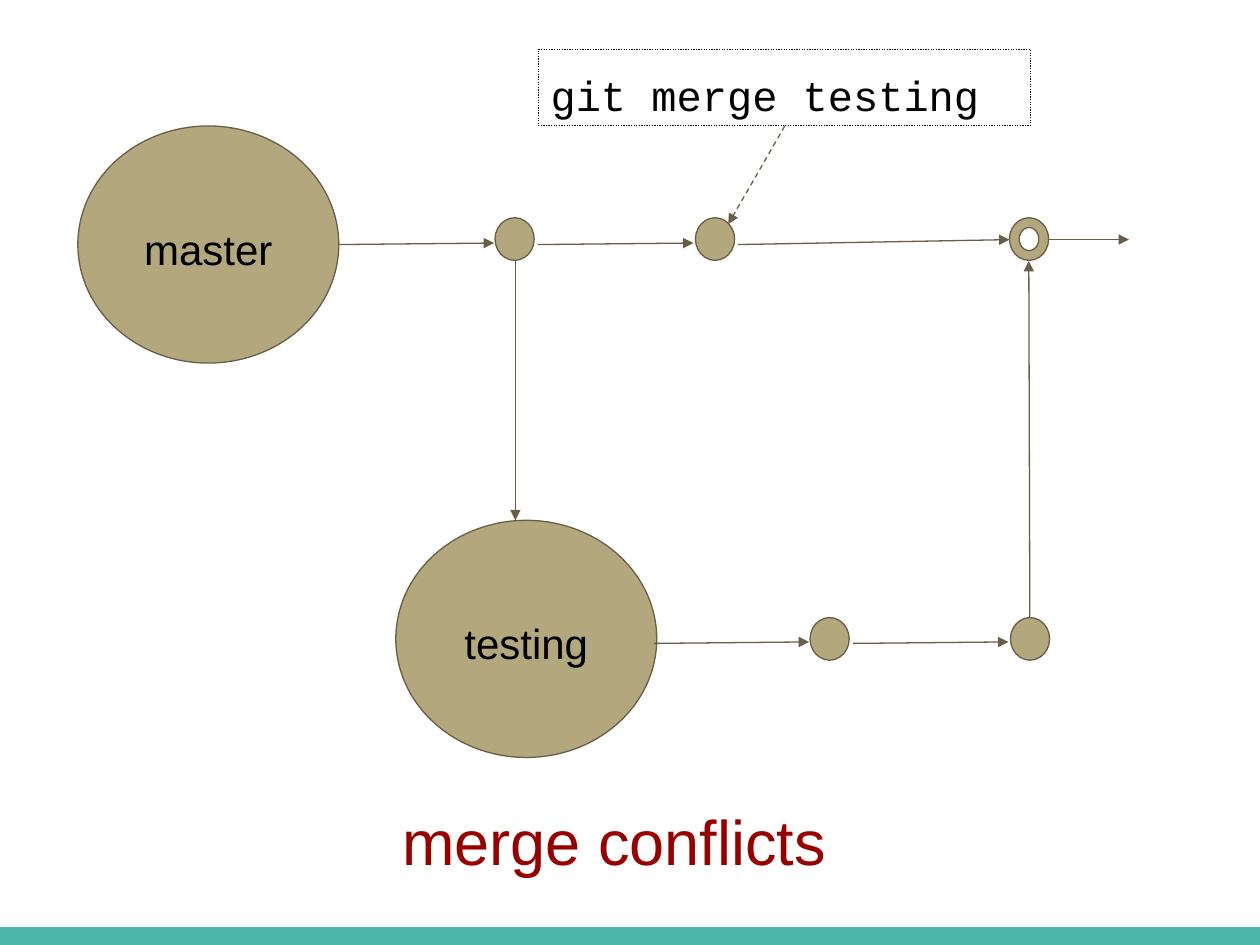
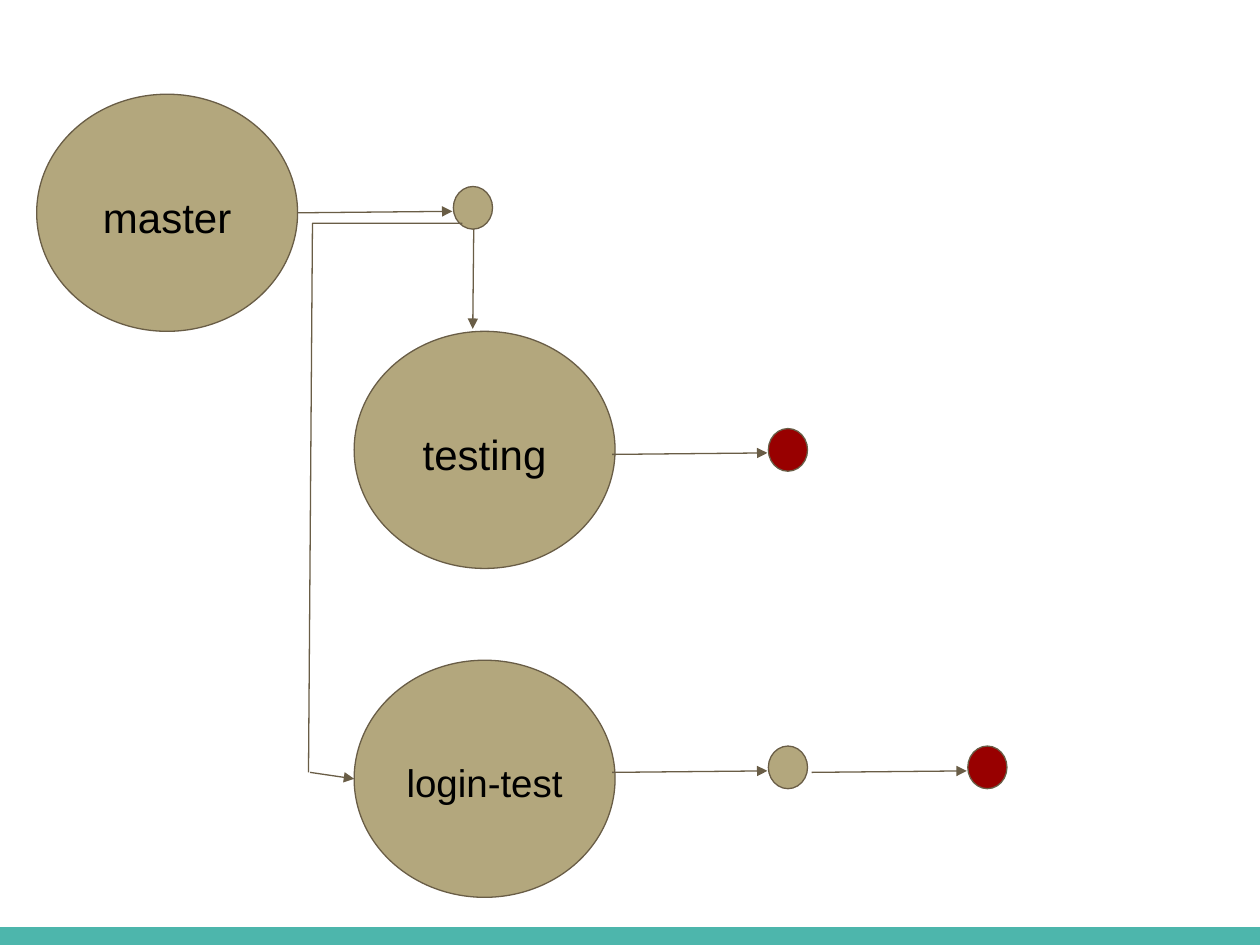
"""Two slides showing how git branches split and merge."""
from dataclasses import dataclass
from typing import NamedTuple, Optional

import pptx
import pptx.dml.color
import pptx.enum.dml
import pptx.enum.shapes
import pptx.enum.text
import pptx.oxml
import pptx.oxml.ns
import pptx.util

Cm = pptx.util.Cm
Pt = pptx.util.Pt
Color = pptx.dml.color.RGBColor
Preset = pptx.enum.shapes.MSO_SHAPE
Dash = pptx.enum.dml.MSO_LINE
Align = pptx.enum.text.PP_ALIGN
Anchor = pptx.enum.text.MSO_ANCHOR


# Theme: colours, fonts and sizes shared by both slides
@dataclass(frozen=True)
class Theme:
    sand: Color = Color(0xB3, 0xA7, 0x7D)
    brown: Color = Color(0x69, 0x5D, 0x46)
    red: Color = Color(0x98, 0x00, 0x00)
    teal: Color = Color(0x4D, 0xB6, 0xAC)
    black: Color = Color(0, 0, 0)
    sans: str = "Arial"
    mono: str = "Courier New"
    heading: Pt = Pt(36)
    label: Pt = Pt(24)
    small_label: Pt = Pt(22)
    line: Pt = Pt(0.75)
    inset: Cm = Cm(0.25)


THEME = Theme()
PAGE_WIDTH, PAGE_HEIGHT = 25.4, 19.05
BAND_HEIGHT = 0.36
BRANCH_SIZE = (5.26, 4.78)
COMMIT_SIZE = (0.79, 0.86)


# Diagram parts, all in centimetres
class Branch(NamedTuple):
    left: float
    top: float
    name: str
    size: Pt = THEME.label


class Commit(NamedTuple):
    left: float
    top: float
    color: Color = THEME.sand
    preset: Preset = Preset.OVAL


class Arrow(NamedTuple):
    x1: float
    y1: float
    x2: float
    y2: float
    dash: Optional[Dash] = None


def step(left: float, top: float) -> Arrow:
    """Arrow of standard length leading to the next commit."""
    return Arrow(left, top, left + 3.13, top - 0.03)


def apply(target, values: dict) -> None:
    for name, value in values.items():
        setattr(target, name, value)


def outline(line, color: Color, dash: Optional[Dash] = None) -> None:
    line.color.rgb = color
    apply(line, {"width": THEME.line, "dash_style": dash})


def write(box, text: str, size: Pt, color: Color = THEME.black,
          font: str = THEME.sans, align: Align = Align.CENTER,
          anchor: Anchor = Anchor.TOP, spacing: float = 1.15) -> None:
    frame = box.text_frame
    margins = {f"margin_{side}": THEME.inset
               for side in ("left", "top", "right", "bottom")}
    apply(frame, {**margins, "word_wrap": True, "vertical_anchor": anchor})
    para = frame.paragraphs[0]
    apply(para, {"alignment": align, "line_spacing": spacing})
    span = para.add_run()
    span.text = text
    apply(span.font, {"name": font, "size": size})
    span.font.color.rgb = color


def add_shape(page, preset: Preset, left: float, top: float, width: float,
              height: float, fill: Optional[Color] = None,
              line: Optional[Color] = THEME.brown,
              dash: Optional[Dash] = None):
    shape = page.shapes.add_shape(preset, Cm(left), Cm(top), Cm(width), Cm(height))
    shape.shadow.inherit = False
    if fill is None:
        shape.fill.background()
    else:
        shape.fill.solid()
        shape.fill.fore_color.rgb = fill
    if line is None:
        shape.line.fill.background()
    else:
        outline(shape.line, line, dash)
    return shape


def add_branch(page, branch: Branch) -> None:
    circle = add_shape(page, Preset.OVAL, branch.left, branch.top,
                       *BRANCH_SIZE, fill=THEME.sand)
    write(circle, branch.name, branch.size, anchor=Anchor.MIDDLE)


def add_commit(page, commit: Commit) -> None:
    add_shape(page, commit.preset, commit.left, commit.top,
              *COMMIT_SIZE, fill=commit.color)


def add_arrow(page, arrow: Arrow) -> None:
    connector = page.shapes.add_connector(
        pptx.enum.shapes.MSO_CONNECTOR.STRAIGHT,
        Cm(arrow.x1), Cm(arrow.y1), Cm(arrow.x2), Cm(arrow.y2))
    outline(connector.line, THEME.brown, arrow.dash)
    head = pptx.oxml.parse_xml(
        f'<a:tailEnd {pptx.oxml.ns.nsdecls("a")} type="triangle"/>')
    connector.line._get_or_add_ln().append(head)
    connector._element.spPr.append(pptx.oxml.parse_xml(
        f'<a:effectLst {pptx.oxml.ns.nsdecls("a")}/>'))


def add_path(page, points: list[tuple[float, float]]) -> None:
    start, *rest = [(Cm(x), Cm(y)) for x, y in points]
    builder = page.shapes.build_freeform(*start)
    builder.add_line_segments(rest, close=False)
    path = builder.convert_to_shape()
    path.shadow.inherit = False
    path.fill.background()
    outline(path.line, THEME.brown)


def add_page(deck, branches: list[Branch], commits: list[Commit],
             arrows: list[Arrow]):
    """Page with the bottom band and one branch diagram."""
    page = deck.slides.add_slide(deck.slide_layouts[6])
    add_shape(page, Preset.RECTANGLE, 0, PAGE_HEIGHT - BAND_HEIGHT,
              PAGE_WIDTH, BAND_HEIGHT, fill=THEME.teal, line=None)
    for parts, draw in ((branches, add_branch), (commits, add_commit),
                        (arrows, add_arrow)):
        for part in parts:
            draw(page, part)
    return page


# Slide 1: merging testing back into master
def merge_page(deck) -> None:
    master_row, testing_row = 4.39, 12.45
    page = add_page(
        deck,
        [Branch(1.57, 2.54, "master"), Branch(7.98, 10.49, "testing")],
        [Commit(9.98, master_row), Commit(14.02, master_row),
         Commit(20.35, master_row, preset=Preset.DONUT),
         Commit(16.33, testing_row), Commit(20.37, testing_row)],
        [step(6.83, 4.93), step(10.85, 4.93),
         step(13.18, 12.97), step(17.2, 12.97),
         Arrow(14.88, 4.93, 20.35, 4.83),
         Arrow(21.13, 4.83, 22.76, 4.83),
         Arrow(10.39, 5.26, 10.39, 10.49),
         Arrow(20.76, 12.45, 20.74, 5.26),
         Arrow(15.82, 2.54, 14.68, 4.52, Dash.DASH)])
    command = add_shape(page, Preset.RECTANGLE, 10.85, 1, 9.93, 1.53,
                        line=THEME.black, dash=Dash.ROUND_DOT)
    write(command, "git merge testing", THEME.label, font=THEME.mono,
          align=Align.LEFT)
    heading = page.shapes.add_textbox(Cm(1.4), Cm(15.77), Cm(21.97), Cm(2.59))
    write(heading, "merge conflicts", THEME.heading, THEME.red, spacing=1.1)


# Slide 2: two branches leaving the same commit
def branches_page(deck) -> None:
    login_row = 15.04
    page = add_page(
        deck,
        [Branch(0.74, 1.9, "master"), Branch(7.14, 6.68, "testing"),
         Branch(7.14, 13.31, "login-test", THEME.small_label)],
        [Commit(9.14, 3.76), Commit(15.49, 8.64, THEME.red),
         Commit(15.49, login_row), Commit(19.51, login_row, THEME.red)],
        [step(5.99, 4.29), step(12.34, 9.16),
         step(12.34, 15.57), step(16.36, 15.57),
         Arrow(9.55, 4.62, 9.53, 6.63),
         Arrow(6.25, 15.57, 7.14, 15.7)])
    add_path(page, [(9.32, 4.5), (6.3, 4.5), (6.22, 15.57)])


def main() -> None:
    deck = pptx.Presentation()
    apply(deck, {"slide_width": Cm(PAGE_WIDTH), "slide_height": Cm(PAGE_HEIGHT)})
    merge_page(deck)
    branches_page(deck)
    deck.save("out.pptx")


if __name__ == "__main__":
    main()
